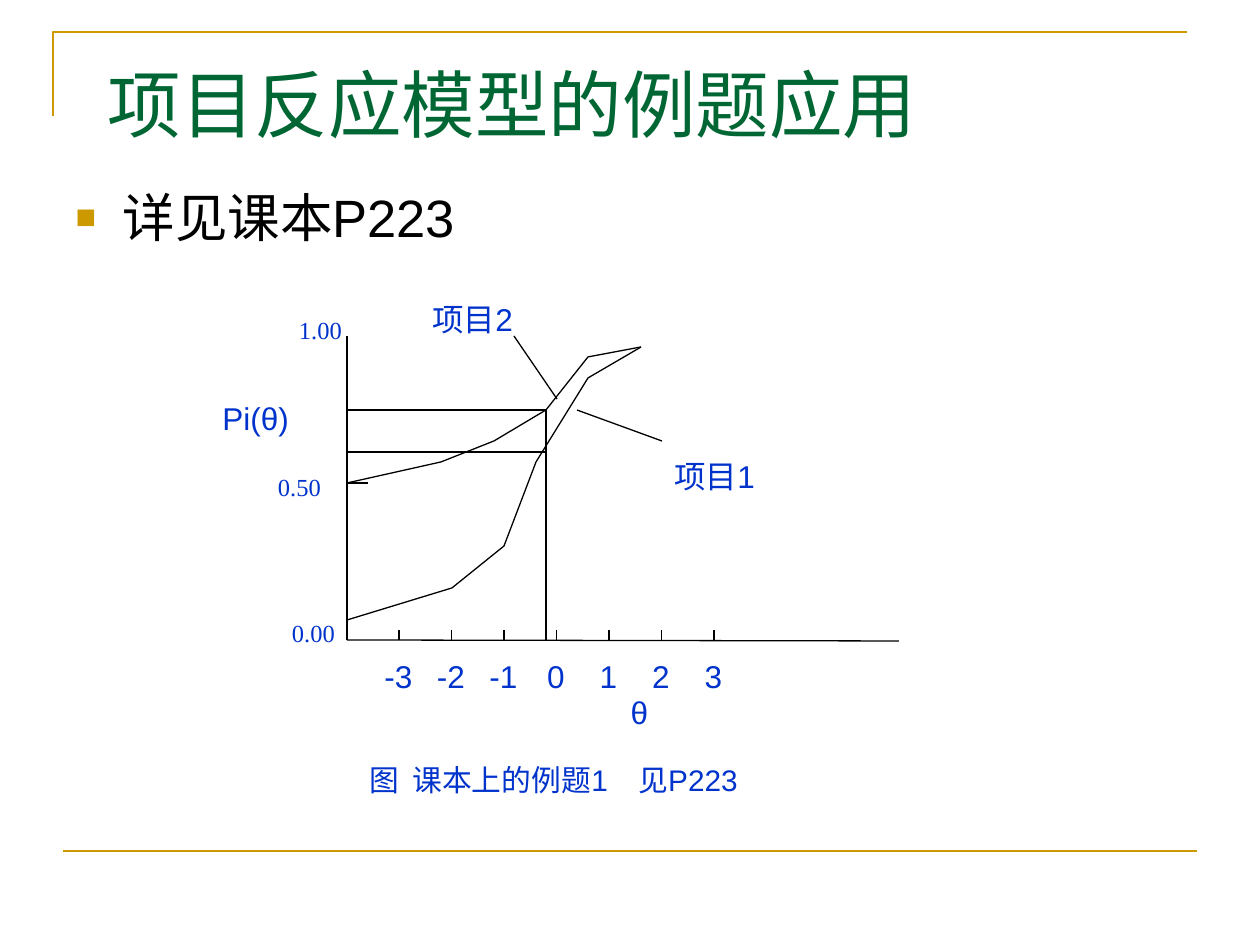
import pptx
import pptx.util
from pptx.dml.color import RGBColor
from pptx.enum.text import MSO_ANCHOR, MSO_AUTO_SIZE, PP_ALIGN
from pptx.enum.shapes import MSO_CONNECTOR
from pptx.oxml.ns import qn
from lxml import etree

PX = 914400 / 126
GOLD = RGBColor(0xCC, 0x99, 0x00)
GREEN = RGBColor(0x00, 0x66, 0x33)
BLUE = RGBColor(0x00, 0x33, 0xCC)
BLACK = RGBColor(0, 0, 0)
SANS, SERIF = "Arial", "Times New Roman"
INSET = 13

TITLE = "项目反应模型的例题应用"
BODY = "详见课本P223"
THETAS = ["-3", "-2", "-1", "0", "1", "2", "3"]
CAPTION = ["图", "课本上的例题1", "见P223"]
CAPTION_TABS = [43, 269]

# Plot geometry, px
AXIS_X, AXIS_TOP, AXIS_Y, AXIS_END = 347, 336, 640, 899
FIRST_TICK, LAST_TICK, TICK = 399, 714, 10
ABILITY_X, P_ITEM_2, P_ITEM_1 = 546, 410, 452

CURVES = [
    [(347, 620), (452, 588), (504, 546), (536, 462), (588, 378), (641, 347)],
    [(347, 483), (441, 462), (494, 441), (546, 410), (588, 357), (641, 347)],
]
LINES = [
    (AXIS_X, AXIS_Y, AXIS_END, AXIS_Y + 1),
    (AXIS_X, AXIS_TOP, AXIS_X, AXIS_Y),
    (AXIS_X, 483, AXIS_X + 21, 483),
    (514, 336, 557, 399),  # leader to item 2
    (577, 410, 662, 441),  # leader to item 1
    (AXIS_X, P_ITEM_2, ABILITY_X, P_ITEM_2),
    (ABILITY_X, P_ITEM_2, ABILITY_X, AXIS_Y),
    (ABILITY_X, P_ITEM_1, AXIS_X, P_ITEM_1),
]
LABELS = [  # text, box, size, font, alignment
    ("1.00", (273, 309, 95, 43), 14, SERIF, PP_ALIGN.CENTER),
    ("0.50", (252, 466, 95, 43), 14, SERIF, PP_ALIGN.CENTER),
    ("0.00", (266, 612, 95, 43), 14, SERIF, PP_ALIGN.CENTER),
    ("θ", (410, 687, 459, 50), 18, SANS, PP_ALIGN.CENTER),
    ("Pi(θ)", (210, 393, 116, 50), 18, SANS, PP_ALIGN.LEFT),
    ("项目2", (420, 294, 126, 50), 18, SANS, PP_ALIGN.LEFT),
    ("项目1", (662, 451, 116, 50), 18, SANS, PP_ALIGN.LEFT),
]


def emu(px):
    return pptx.util.Emu(round(px * PX))


def style(paragraph, size, font, color, align=PP_ALIGN.LEFT):
    paragraph.alignment = align
    paragraph.font.size = pptx.util.Pt(size)
    paragraph.font.name = font
    paragraph.font.color.rgb = color


def set_tabs(paragraph, stops, kind):
    tab_list = etree.SubElement(paragraph._p.get_or_add_pPr(), qn("a:tabLst"))
    for stop in stops:
        etree.SubElement(tab_list, qn("a:tab"), pos=str(emu(stop)), algn=kind)


def add_line(slide, x1, y1, x2, y2, color=BLACK, width=0.75):
    line = slide.shapes.add_connector(
        MSO_CONNECTOR.STRAIGHT, *map(emu, (x1, y1, x2, y2)))
    line.line.color.rgb = color
    line.line.width = pptx.util.Pt(width)
    etree.SubElement(line._element.spPr, qn("a:effectLst"))


def add_path(slide, points, color=BLACK, width=0.75):
    builder = slide.shapes.build_freeform(*points[0], scale=PX)
    builder.add_line_segments(points[1:], close=False)
    path = builder.convert_to_shape()
    path.shadow.inherit = False
    path.fill.background()
    path.line.color.rgb = color
    path.line.width = pptx.util.Pt(width)


def add_label(slide, text, box, size, font, align, tabs=(), tab_kind="l"):
    frame = slide.shapes.add_textbox(*map(emu, box)).text_frame
    frame.word_wrap = True
    paragraph = frame.paragraphs[0]
    paragraph.text = text
    if tabs:
        set_tabs(paragraph, tabs, tab_kind)
    style(paragraph, size, font, BLUE, align)


def fill_placeholder(placeholder, text, box):
    placeholder.left, placeholder.top, placeholder.width, placeholder.height = map(emu, box)
    frame = placeholder.text_frame
    frame.text = text
    frame.auto_size = MSO_AUTO_SIZE.NONE
    frame.vertical_anchor = MSO_ANCHOR.TOP
    frame.paragraphs[0].space_before = pptx.util.Pt(0)
    return frame.paragraphs[0]


def add_square_bullet(paragraph, indent):
    props = paragraph._p.get_or_add_pPr()
    props.set("marL", str(emu(indent)))
    props.set("indent", str(-emu(indent)))
    color = etree.SubElement(props, qn("a:buClr"))
    etree.SubElement(color, qn("a:srgbClr"), val=str(GOLD))
    etree.SubElement(props, qn("a:buSzPct"), val="65000")
    etree.SubElement(props, qn("a:buFont"), typeface=SANS)
    etree.SubElement(props, qn("a:buChar"), char="■")


def main():
    deck = pptx.Presentation()
    deck.slide_width, deck.slide_height = pptx.util.Inches(10), pptx.util.Inches(7.5)
    slide = deck.slides.add_slide(deck.slide_layouts[1])

    add_path(slide, [(53, 116), (53, 32), (1187, 32)], GOLD, 1.5)
    add_line(slide, 63, 851, 1197, 851, GOLD, 1.5)

    title = fill_placeholder(slide.shapes.title, TITLE, (95, 53, 1018, 120))
    style(title, 42, SERIF, GREEN)
    body = fill_placeholder(slide.placeholders[1], BODY, (63, 179, 1134, 84))
    add_square_bullet(body, 47)
    style(body, 30, SANS, BLACK)

    step = (LAST_TICK - FIRST_TICK) / (len(THETAS) - 1)
    ticks = [FIRST_TICK + step * i for i in range(len(THETAS))]
    for x in ticks:
        add_line(slide, x, AXIS_Y, x, AXIS_Y - TICK)
    for ends in LINES:
        add_line(slide, *ends)
    for curve in CURVES:
        add_path(slide, curve)

    for label in LABELS:
        add_label(slide, *label)
    add_label(slide, "".join("\t" + theta for theta in THETAS),
              (AXIS_X, 651, 514, 50), 18, SANS, PP_ALIGN.LEFT,
              [x - AXIS_X - INSET for x in ticks], "ctr")
    add_label(slide, "\t".join(CAPTION), (357, 756, 514, 73), 17, SANS,
              PP_ALIGN.LEFT, CAPTION_TABS)

    deck.save("out.pptx")


if __name__ == "__main__":
    main()
